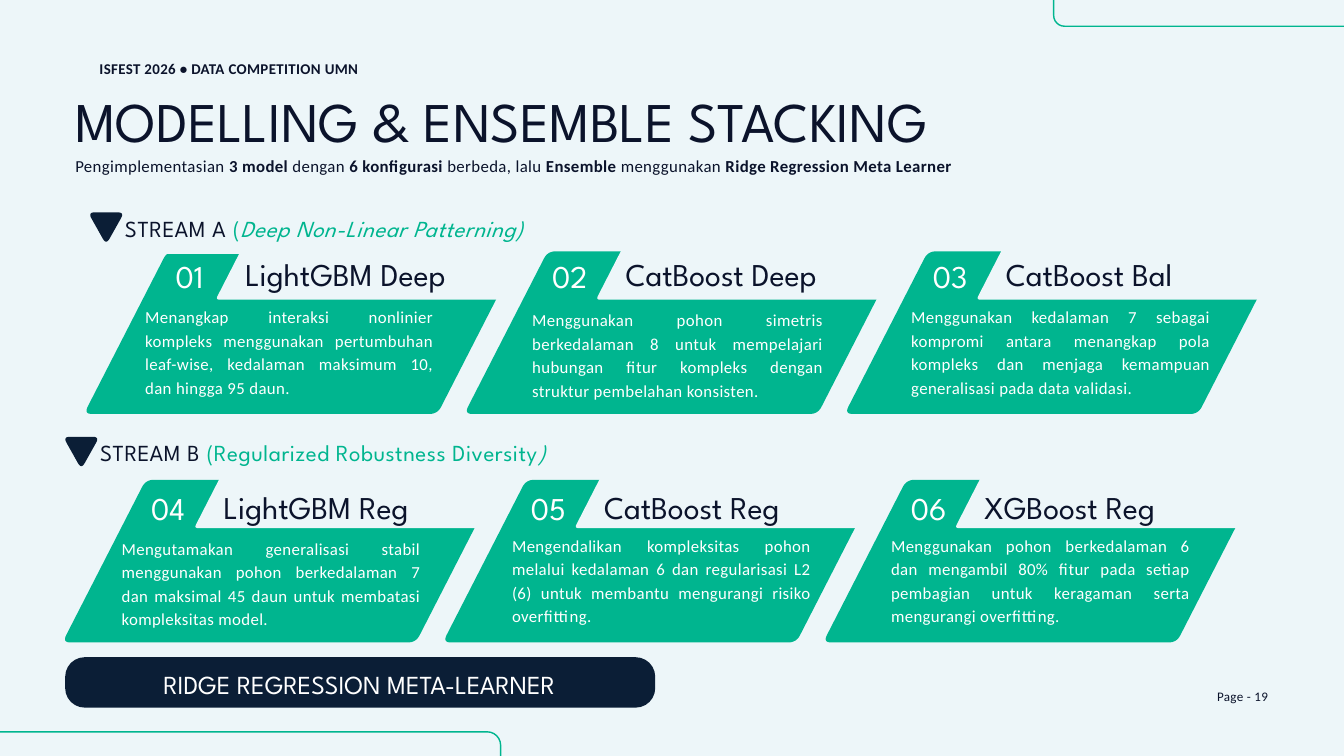
from pptx import Presentation
from pptx.dml.color import RGBColor
from pptx.enum.shapes import MSO_SHAPE
from pptx.enum.text import MSO_ANCHOR, MSO_AUTO_SIZE, PP_ALIGN
from pptx.util import Inches, Pt

LEFT, CENTER, RIGHT, JUSTIFY = PP_ALIGN.LEFT, PP_ALIGN.CENTER, PP_ALIGN.RIGHT, PP_ALIGN.JUSTIFY
ROUNDED = MSO_SHAPE.ROUNDED_RECTANGLE
TOP, GROW = MSO_ANCHOR.TOP, MSO_AUTO_SIZE.SHAPE_TO_FIT_TEXT
HEADING_FONT, BODY_FONT = "League Spartan", "Calibri"
PALE, GREEN, NAVY, INK, WHITE = "EDF6F9", "00B58F", "0B1E36", "0B132B", "FFFFFF"
rgb = RGBColor.from_string

prs = Presentation()
prs.slide_width, prs.slide_height = Inches(20), Inches(11.25)
slide = prs.slides.add_slide(prs.slide_layouts[5])
slide.background.fill.solid()
slide.background.fill.fore_color.rgb = rgb(PALE)


def write(text, box, size, font=BODY_FONT, color=INK, align=LEFT, leading=None,
          spacing=0, bold=False, holder=None):
    """Write a string, or a list of (string, format changes), into a box."""
    left, top, width, height = (Inches(v) for v in box)
    if holder is None:
        holder = slide.shapes.add_textbox(left, top, width, height)
    holder.left, holder.top, holder.width, holder.height = left, top, width, height
    frame = holder.text_frame
    frame.margin_left = frame.margin_top = frame.margin_right = frame.margin_bottom = 0
    frame.word_wrap, frame.auto_size, frame.vertical_anchor = True, GROW, TOP
    paragraph = frame.paragraphs[0]
    paragraph.alignment = align
    paragraph.line_spacing = Pt(leading or size)
    for piece, changes in [(text, {})] if isinstance(text, str) else text:
        run = paragraph.add_run()
        run.text = piece
        run.font.name, run.font.size = font, Pt(size)
        run.font.bold = changes.get("bold", bold)
        run.font.italic = changes.get("italic", False)
        run.font.color.rgb = rgb(changes.get("color", color))
        if spacing:
            run.font._element.set("spc", str(round(spacing * 100)))


def soft_polygon(left, top, corners, cut, color):
    """Draw a filled polygon whose corners are rounded, starting `cut` inches away."""
    outline = []
    for i, (x, y) in enumerate(corners):
        ends = []
        for nx, ny in (corners[i - 1], corners[(i + 1) % len(corners)]):
            share = cut / ((nx - x) ** 2 + (ny - y) ** 2) ** 0.5
            ends.append((x + (nx - x) * share, y + (ny - y) * share))
        (ax, ay), (bx, by) = ends
        for t in (step / 8 for step in range(9)):
            a, c, b = (1 - t) ** 2, 2 * t * (1 - t), t ** 2
            outline.append((Inches(left + a * ax + c * x + b * bx),
                            Inches(top + a * ay + c * y + b * by)))
    builder = slide.shapes.build_freeform(*outline[0])
    builder.add_line_segments(outline[1:], close=True)
    shape = builder.convert_to_shape()
    shape.shadow.inherit = False
    shape.fill.solid()
    shape.fill.fore_color.rgb = rgb(color)
    shape.line.fill.background()


# Page heading
write("ISFEST 2026 • DATA COMPETITION UMN", (1.48, 0.84, 4.53, 0.29), 16,
      leading=22.4, spacing=0.4, bold=True)
write("MODELLING & ENSEMBLE STACKING", (1.12, 1.45, 16.45, 0.89), 60,
      font=HEADING_FONT, holder=slide.shapes.title)
strong = {"bold": True}
write([("Pengimplementasian ", {}), ("3 model", strong), (" dengan ", {}),
       ("6 konfigurasi", strong), (" berbeda, lalu ", {}), ("Ensemble ", strong),
       ("menggunakan ", {}), ("Ridge Regression Meta Learner", strong)],
      (1.12, 2.27, 15.62, 0.35), 18, align=JUSTIFY, leading=25.2, spacing=0.4)

# Model cards: left and top of each row, drop of its labels,
# then title, description and the description's offset and width
CARD = [(1.19, 0), (6.45, 0), (5.21, 2.42), (-0.05, 2.42)]
TAB = [(0.41, 0), (4.64, 0), (4.20, 0.86), (-0.03, 0.86)]
CARD_PITCH = 5.66
card_rows = [
    (1.30, 3.74, 0.15, [
        ("LightGBM Deep", "Menangkap interaksi nonlinier kompleks menggunakan pertumbuhan "
         "leaf-wise, kedalaman maksimum 10, dan hingga 95 daun.", 0.86, 0.78, 4.29),
        ("CatBoost Deep", "Menggunakan pohon simetris berkedalaman 8 untuk mempelajari "
         "hubungan fitur kompleks dengan struktur pembelahan konsisten.", 0.96, 0.82, 4.33),
        ("CatBoost Bal", "Menggunakan kedalaman 7 sebagai kompromi antara menangkap pola "
         "kompleks dan menjaga kemampuan generalisasi pada data validasi.", 0.94, 0.78, 4.45)]),
    (0.98, 7.14, 0.21, [
        ("LightGBM Reg", "Mengutamakan generalisasi stabil menggunakan pohon berkedalaman 7 "
         "dan maksimal 45 daun untuk membatasi kompleksitas model.", 0.83, 0.82, 4.45),
        ("CatBoost Reg", "Mengendalikan kompleksitas pohon melalui kedalaman 6 dan "
         "regularisasi L2 (6) untuk membantu mengurangi risiko overfitting.", 0.98, 0.78, 4.45),
        ("XGBoost Reg", "Menggunakan pohon berkedalaman 6 dan mengambil 80% fitur pada setiap "
         "pembagian untuk keragaman serta mengurangi overfitting.", 0.96, 0.78, 4.45)]),
]
number = 0
for row_left, top, drop, models in card_rows:
    for column, (model, description, dx, dy, width) in enumerate(models):
        number += 1
        left = row_left + column * CARD_PITCH
        soft_polygon(left, top, CARD, 0.12, GREEN)
        soft_polygon(left + 1.94, top - 0.14, TAB, 0.06, PALE)
        write(f"{number:02}", (left + 1.12, top + drop + 0.02, 0.8, 0.49), 34,
              font=HEADING_FONT, color=WHITE, align=CENTER)
        write(model, (left + 2.35, top + drop, 4.13, 0.49), 34, font=HEADING_FONT)
        write(description, (left + dx, top + dy, width, 1.38), 18, color=WHITE,
              align=JUSTIFY, leading=25.2, spacing=0.4)

# Corner frames, stream header backs and meta-learner bar: box, radius, fill, line
panels = [
    ((-3.45, 10.89, 10.9, 1.25), 0.2, None, GREEN),
    ((15.68, -0.86, 13.62, 1.25), 0.16, None, GREEN),
    ((1.12, 3.02, 5.48, 0.76), 0.07, PALE, None),
    ((0.75, 6.36, 5.48, 0.76), 0.07, PALE, None),
    ((0.97, 9.78, 8.78, 0.75), 0.29, NAVY, None),
]
for box, radius, fill, line in panels:
    panel = slide.shapes.add_shape(ROUNDED, *(Inches(v) for v in box))
    panel.adjustments[0] = radius / box[3]
    panel.shadow.inherit = False
    if fill:
        panel.fill.solid()
        panel.fill.fore_color.rgb = rgb(fill)
        panel.line.fill.background()
    else:
        panel.fill.background()
        panel.line.color.rgb = rgb(line)
        panel.line.width = Pt(1.5)

# Stream headers
MARKER = [(-0.04, 0), (0.5, 0), (0.23, 0.48)]
green, slanted = {"color": GREEN}, {"color": GREEN, "italic": True}
streams = [
    (1.12, 3.02, [("STREAM A ", {}), ("(", green), ("Deep Non-Linear Patterning)", slanted)]),
    (0.75, 6.36, [("STREAM B ", {}), ("(Regularized Robustness Diversity", green),
                  (")", slanted)]),
]
for left, top, label in streams:
    soft_polygon(left + 0.23, top + 0.14, MARKER, 0.1, NAVY)
    write(label, (left + 0.74, top + 0.1, 9.06, 0.44), 24.6, font=HEADING_FONT,
          align=JUSTIFY, leading=34.4, spacing=0.6)

# Meta-learner label and page number
write("RIDGE REGRESSION META-LEARNER", (0.94, 10.02, 8.81, 0.42), 27.9,
      font=HEADING_FONT, color=WHITE, align=CENTER)
write("Page - 19", (16.27, 10.2, 2.6, 0.26), 14, align=RIGHT, leading=19.6, spacing=0.3)

prs.save("out.pptx")
